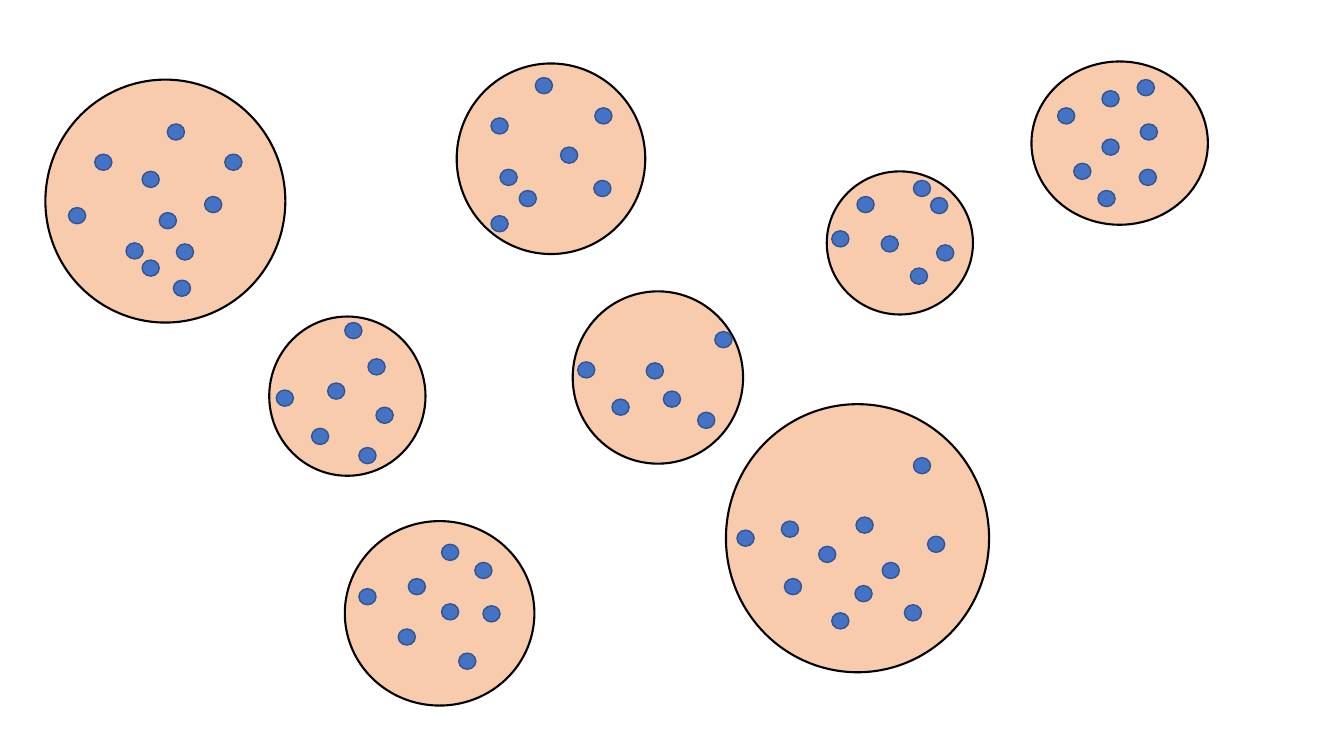
from pptx import Presentation
from pptx import util as u
from pptx.dml import color
from pptx.enum import shapes

CM_PER_INCH = 2.54
DOT_SIZE = (0.17, 0.16)
CELL_STYLE = dict(fill="F8CBAD", line="000000", width=1.5)
DOT_STYLE = dict(fill="4472C4", line="325491", width=1)

CELLS = [
    dict(box=(8.2, 1.7, 1.45, 1.42),
         dots=[(9.06, 1.79), (9.23, 1.96), (9.03, 2.66), (8.74, 2.34),
               (9.29, 2.43), (8.25, 2.29), (8.5, 1.95)]),
    dict(box=(7.2, 4.01, 2.61, 2.66),
         dots=[(7.31, 5.26), (8.75, 5.58), (8.12, 5.42), (8.97, 6),
               (7.78, 5.74), (8.48, 5.81), (7.75, 5.17), (9.2, 5.32),
               (8.25, 6.08), (8.49, 5.13), (9.06, 4.54)]),
    dict(box=(10.23, 0.61, 1.75, 1.62),
         dots=[(10.49, 1.07), (10.93, 1.38), (11.3, 1.68), (11.31, 1.23),
               (10.65, 1.62), (10.93, 0.9), (10.89, 1.89), (11.28, 0.79)]),
    dict(box=(3.42, 5.17, 1.88, 1.83),
         dots=[(4.71, 5.58), (3.56, 5.84), (4.38, 5.99), (4.05, 5.74),
               (4.38, 5.4), (3.95, 6.24), (4.79, 6.01), (4.55, 6.48)]),
    dict(box=(5.68, 2.89, 1.69, 1.71),
         dots=[(6.92, 4.09), (5.73, 3.59), (6.58, 3.88), (6.41, 3.6),
               (6.07, 3.96), (7.09, 3.29)]),
    dict(box=(2.67, 3.14, 1.55, 1.58),
         dots=[(3.73, 4.04), (3.65, 3.56), (3.09, 4.25), (3.56, 4.44),
               (3.42, 3.2), (3.25, 3.8), (2.74, 3.87)]),
    dict(box=(4.53, 0.63, 1.87, 1.89),
         dots=[(4.87, 2.14), (5.15, 1.89), (5.31, 0.77), (5.56, 1.46),
               (5.89, 1.79), (4.96, 1.68), (4.87, 1.17), (5.9, 1.07)]),
    dict(box=(0.45, 0.79, 2.38, 2.41),
         dots=[(1.25, 2.41), (1.41, 2.58), (0.94, 1.53), (1.75, 2.42),
               (0.68, 2.06), (2.23, 1.53), (1.58, 2.11), (1.66, 1.23),
               (1.72, 2.78), (2.03, 1.95), (1.41, 1.7)]),
]


def length(inches):
    return u.Cm(inches * CM_PER_INCH)


def rgb(value):
    return color.RGBColor.from_string(value)


def add_ellipse(s, box, fill, line, width):
    sp = s.shapes.add_shape(shapes.MSO_SHAPE.OVAL, *map(length, box))
    sp.shadow.inherit = False
    sp.fill.solid()
    sp.fill.fore_color.rgb = rgb(fill)
    sp.line.color.rgb = rgb(line)
    sp.line.width = u.Pt(width)


prs = Presentation()
prs.slide_width, prs.slide_height = length(13.33), length(7.5)
s = prs.slides.add_slide(prs.slide_layouts[6])

for cell in CELLS:
    add_ellipse(s, cell["box"], **CELL_STYLE)
    for dot in cell["dots"]:
        add_ellipse(s, dot + DOT_SIZE, **DOT_STYLE)

prs.save("out.pptx")
